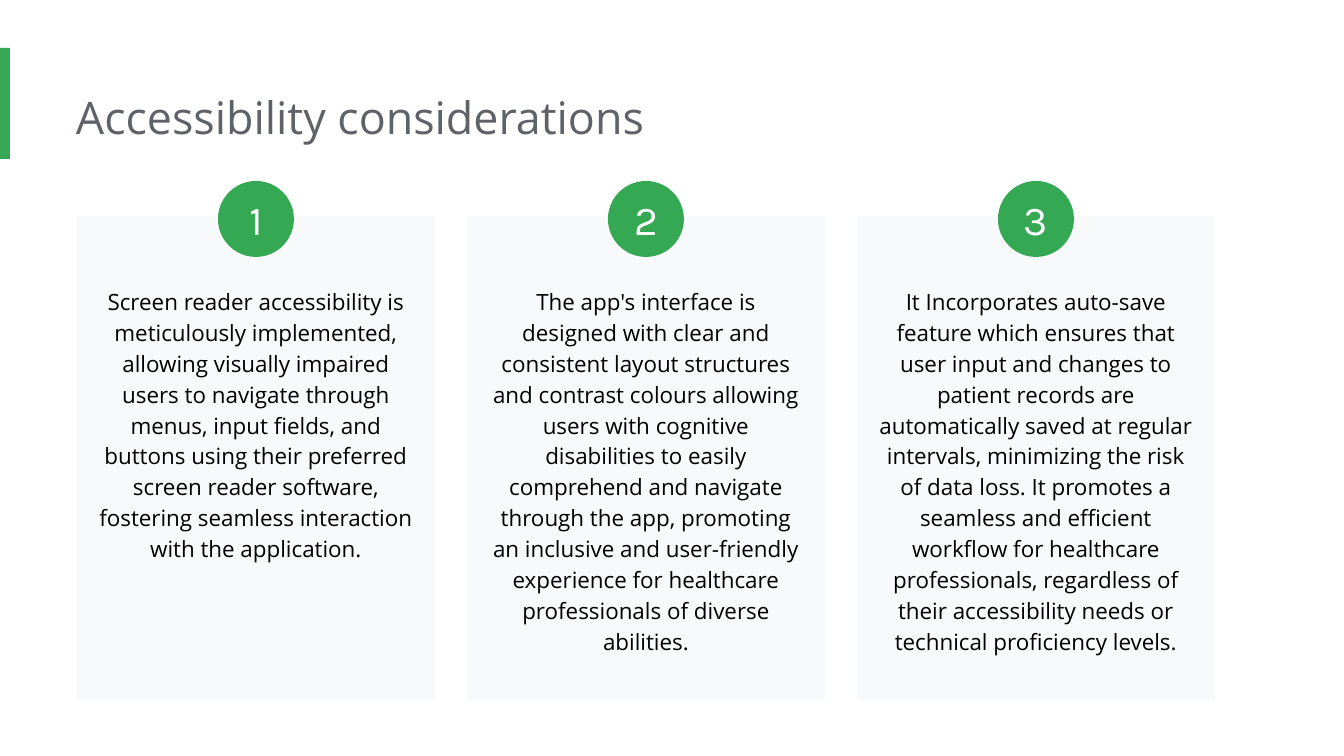
from pptx import Presentation
from pptx.dml.color import RGBColor
from pptx.enum.shapes import MSO_SHAPE
from pptx.enum.text import MSO_ANCHOR, PP_ALIGN
from pptx.util import Pt

PX = 9144000 / 1344  # EMU per px, slide 1344 px wide
GREEN, PALE, GREY = "34A853", "F8F9FA", "5F6368"


def px(*lengths):
    return [round(n * PX) for n in lengths]


def style(sp, fill=None, text=None, size=12, font="Open Sans", color="000000",
          insets=(13, 13, 13, 13), align=PP_ALIGN.CENTER, anchor=MSO_ANCHOR.TOP, spacing=1.0):
    """Fill a shape and write one run of text; insets are left, top, right, bottom."""
    if fill:
        sp.shadow.inherit = False
        sp.fill.solid()
        sp.fill.fore_color.rgb = RGBColor.from_string(fill)
        sp.line.fill.background()
    if text:
        tf = sp.text_frame
        tf.word_wrap = True
        tf.vertical_anchor = anchor
        tf.margin_left, tf.margin_top, tf.margin_right, tf.margin_bottom = px(*insets)
        p = tf.paragraphs[0]
        p.alignment = align
        p.line_spacing = spacing
        r = p.add_run()
        r.text = text
        r.font.size = Pt(size)
        r.font.name = font
        r.font.color.rgb = RGBColor.from_string(color)


prs = Presentation()
prs.slide_width, prs.slide_height = px(1344, 756)
s = prs.slides.add_slide(prs.slide_layouts[6])

accent = s.shapes.add_shape(MSO_SHAPE.RECTANGLE, *px(0, 48, 10, 111))
style(accent, GREEN)

title = s.shapes.add_textbox(*px(76, 77, 1030, 82))
style(title, text="Accessibility considerations", size=24, color=GREY,
      insets=(0, 13, 13, 13), align=PP_ALIGN.LEFT)

considerations = [
    "Screen reader accessibility is meticulously implemented, allowing visually impaired "
    "users to navigate through menus, input fields, and buttons using their preferred "
    "screen reader software, fostering seamless interaction with the application.",
    "The app's interface is designed with clear and consistent layout structures and "
    "contrast colours allowing users with cognitive disabilities to easily comprehend "
    "and navigate through the app, promoting an inclusive and user-friendly experience "
    "for healthcare professionals of diverse abilities.",
    "It Incorporates auto-save feature which ensures that user input and changes to "
    "patient records are automatically saved at regular intervals, minimizing the risk "
    "of data loss. It promotes a seamless and efficient workflow for healthcare "
    "professionals, regardless of their accessibility needs or technical proficiency levels.",
]
CARD_LEFT, CARD_W, CARD_GAP = 77, 358, 32
BODY_W, BADGE = 342, 76

for i, words in enumerate(considerations):
    left = CARD_LEFT + i * (CARD_W + CARD_GAP)

    card = s.shapes.add_shape(MSO_SHAPE.RECTANGLE, *px(left, 216, CARD_W, 484))
    style(card, PALE)

    body = s.shapes.add_textbox(*px(left + (CARD_W - BODY_W) // 2, 271, BODY_W, 402))
    style(body, text=words, spacing=1.15)

    badge = s.shapes.add_shape(
        MSO_SHAPE.OVAL, *px(left + (CARD_W - BADGE) // 2, 181, BADGE, BADGE))
    style(badge, GREEN, str(i + 1), size=22, font="Karla", color="FFFFFF",
          insets=(0, 0, 0, 0), anchor=MSO_ANCHOR.MIDDLE)

prs.save("out.pptx")
